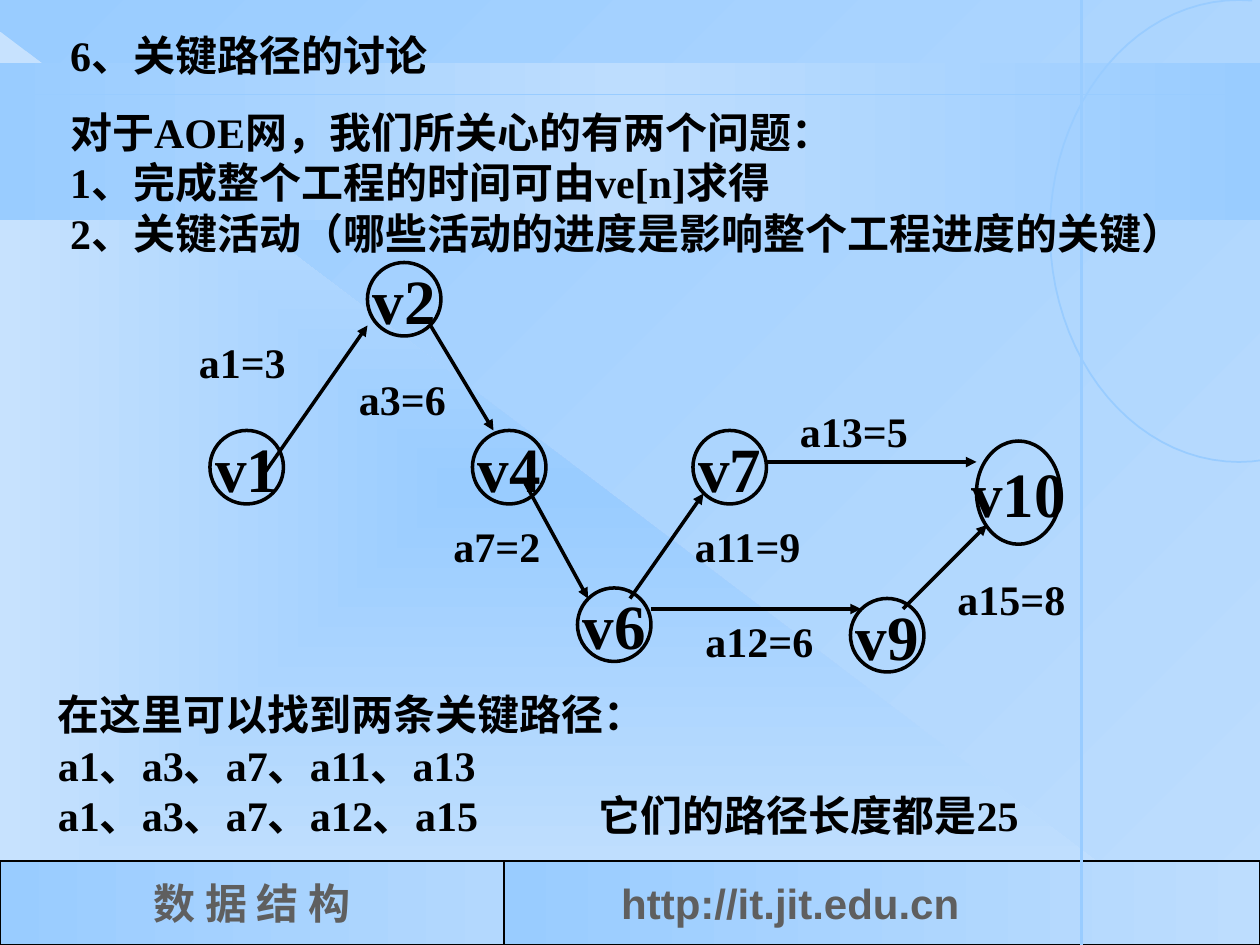
from dataclasses import dataclass
from math import cos, radians, sin

from lxml.etree import SubElement
from pptx import Presentation
from pptx.dml.color import RGBColor
from pptx.enum.shapes import MSO_CONNECTOR as Connector, MSO_SHAPE as Preset
from pptx.enum.text import MSO_ANCHOR as Anchor, MSO_AUTO_SIZE as AutoSize, PP_ALIGN as Align
from pptx.oxml import parse_xml
from pptx.oxml.ns import nsdecls, qn
from pptx.util import Pt


@dataclass(frozen=True)
class Theme:
    ink: str = "000000"
    footer_ink: str = "5F5F5F"
    sky: str = "99CCFF"
    pale: str = "BDDDFE"
    soft: str = "B3D8FE"
    mist: str = "C7E2FE"
    serif: str = "Times New Roman"
    sans: str = "Arial"
    body: int = 24
    node: int = 36


THEME = Theme()


def fill_gradient(fill, owner, colors, angle=None):
    fill.background()
    step = 100000 // (len(colors) - 1)
    stops = "".join(
        f'<a:gs pos="{index * step}"><a:srgbClr val="{color}"/></a:gs>'
        for index, color in enumerate(colors)
    )
    if angle is None:
        direction = ('<a:path path="rect"><a:fillToRect l="50000" t="50000" '
                     'r="50000" b="50000"/></a:path>')
    else:
        direction = f'<a:lin ang="{angle * 60000}" scaled="1"/>'
    gradient = parse_xml(f'<a:gradFill {nsdecls("a")} rotWithShape="1">'
                         f'<a:gsLst>{stops}</a:gsLst>{direction}</a:gradFill>')
    empty = owner.find(".//" + qn("a:noFill"))
    empty.getparent().replace(empty, gradient)


def write_text(frame, text, size=THEME.body, font=THEME.serif, color=THEME.ink,
               align=Align.LEFT, anchor=Anchor.TOP, wrap=False, first_gap=0,
               tab=None, left=7.2):
    frame.word_wrap = wrap
    frame.vertical_anchor = anchor
    frame.margin_left = Pt(left)
    for index, line in enumerate(text.split("\n")):
        paragraph = frame.add_paragraph() if index else frame.paragraphs[0]
        paragraph.alignment = align
        if first_gap and index == 0:
            paragraph.space_after = Pt(first_gap)
        if tab and "\t" in line:
            stops = SubElement(paragraph._p.get_or_add_pPr(), qn("a:tabLst"))
            SubElement(stops, qn("a:tab"), pos=str(Pt(tab)), algn="l")
        run = paragraph.add_run()
        run.text = line
        run.font.size = Pt(size)
        run.font.name = font
        run.font.bold = True
        run.font.color.rgb = RGBColor.from_string(color)


class SlideBuilder:
    """Draws styled elements on the current slide, measured in points."""

    def __init__(self, slide, theme):
        self.slide = slide
        self.theme = theme

    def background(self, colors, angle):
        fill_gradient(self.slide.background.fill, self.slide.element, colors, angle)

    def outline(self, line, color, width):
        line.color.rgb = RGBColor.from_string(color)
        line.width = Pt(width)

    def panel(self, preset, box, colors=None, angle=None, border=0):
        shape = self.slide.shapes.add_shape(preset, *map(Pt, box))
        shape.shadow.inherit = False
        if colors:
            fill_gradient(shape.fill, shape.element, colors, angle)
        else:
            shape.fill.background()
        if border:
            self.outline(shape.line, self.theme.ink, border)
        else:
            shape.line.fill.background()
        return shape

    def footer(self, box, colors, angle, text, **text_format):
        shape = self.panel(Preset.RECTANGLE, box, colors, angle, border=1.5)
        write_text(shape.text_frame, text, color=self.theme.footer_ink,
                   anchor=Anchor.MIDDLE, **text_format)

    def node(self, name, left, top, width=42, height=42):
        shape = self.panel(Preset.OVAL, (left, top, width, height), border=2)
        write_text(shape.text_frame, name, size=self.theme.node,
                   align=Align.CENTER, anchor=Anchor.MIDDLE)

    def text(self, box, text, **text_format):
        frame = self.slide.shapes.add_textbox(*map(Pt, box)).text_frame
        write_text(frame, text, **text_format)
        if not frame.word_wrap:
            frame.auto_size = AutoSize.SHAPE_TO_FIT_TEXT

    def line(self, start, end, color, width, arrow=False):
        connector = self.slide.shapes.add_connector(
            Connector.STRAIGHT, *map(Pt, (*start, *end)))
        self.outline(connector.line, color, width)
        if arrow:
            SubElement(connector.line._get_or_add_ln(), qn("a:tailEnd"), type="triangle")
        SubElement(connector.element.spPr, qn("a:effectLst"))

    def arc(self, center, radii, first, last):
        points = [
            tuple(Pt(middle + radius * wave(radians(angle)))
                  for middle, radius, wave in zip(center, radii, (cos, sin)))
            for angle in range(first, last + 1, 4)
        ]
        builder = self.slide.shapes.build_freeform(*points[0])
        builder.add_line_segments(points[1:], close=False)
        shape = builder.convert_to_shape()
        shape.shadow.inherit = False
        shape.fill.background()
        self.outline(shape.line, self.theme.sky, 1)


NODES = [
    ("v1", 120, 246), ("v2", 210, 150), ("v4", 270, 246), ("v10", 558, 252, 48, 59),
    ("v7", 396, 246), ("v6", 330, 336), ("v9", 486, 342),
]
ACTIVITIES = [
    ((150, 272), (210, 186)), ((246, 186), (282, 246)), ((300, 276), (336, 342)),
    ((360, 342), (402, 282)), ((372, 348), (492, 348)), ((438, 264), (558, 264)),
    ((516, 348), (564, 300)),
]
WEIGHTS = [
    ("a1=3", 106.5, 189, 65), ("a3=6", 198, 210, 78), ("a7=2", 252, 294, 65),
    ("a11=9", 390, 294, 77), ("a12=6", 396, 348, 77), ("a13=5", 450, 228, 77),
    ("a15=8", 540, 324, 77),
]
QUESTIONS = """6、关键路径的讨论
对于AOE网，我们所关心的有两个问题：
1、完成整个工程的时间可由ve[n]求得
2、关键活动（哪些活动的进度是影响整个工程进度的关键）"""
CRITICAL_PATHS = """在这里可以找到两条关键路径：
a1、a3、a7、a11、a13
a1、a3、a7、a12、a15\t它们的路径长度都是25"""


def main():
    presentation = Presentation()
    presentation.slide_width, presentation.slide_height = Pt(720), Pt(540)
    slide = presentation.slides.add_slide(presentation.slide_layouts[6])
    builder = SlideBuilder(slide, THEME)
    sky, pale = THEME.sky, THEME.pale

    builder.background((pale, sky), 225)
    builder.panel(Preset.RIGHT_TRIANGLE, (0, 18, 690, 522), (sky, THEME.mist))
    builder.panel(Preset.RECTANGLE, (0, 36, 720, 90), (sky, pale, sky), 180)
    builder.footer((0, 492, 288, 48), (THEME.soft, sky), 180, "数 据 结 构",
                   align=Align.CENTER)
    builder.footer((288, 492, 432, 48), (sky, pale), 0, "http://it.jit.edu.cn",
                   font=THEME.sans, left=67, wrap=True)
    builder.line((0, 54), (720, 54), sky, 1)
    builder.line((618, 0), (618, 540), sky, 1.5)
    builder.arc((708, 132), (108, 132), 78, 274)

    builder.text((33, 13.5, 656, 137.5), QUESTIONS, first_gap=15)
    for node in NODES:
        builder.node(*node)
    for start, end in ACTIVITIES:
        builder.line(start, end, THEME.ink, 2, arrow=True)
    for label, left, top, width in WEIGHTS:
        builder.text((left, top, width, 36), label, wrap=True)
    builder.text((26, 390, 569.5, 93.5), CRITICAL_PATHS, tab=309)

    presentation.save("out.pptx")


if __name__ == "__main__":
    main()
